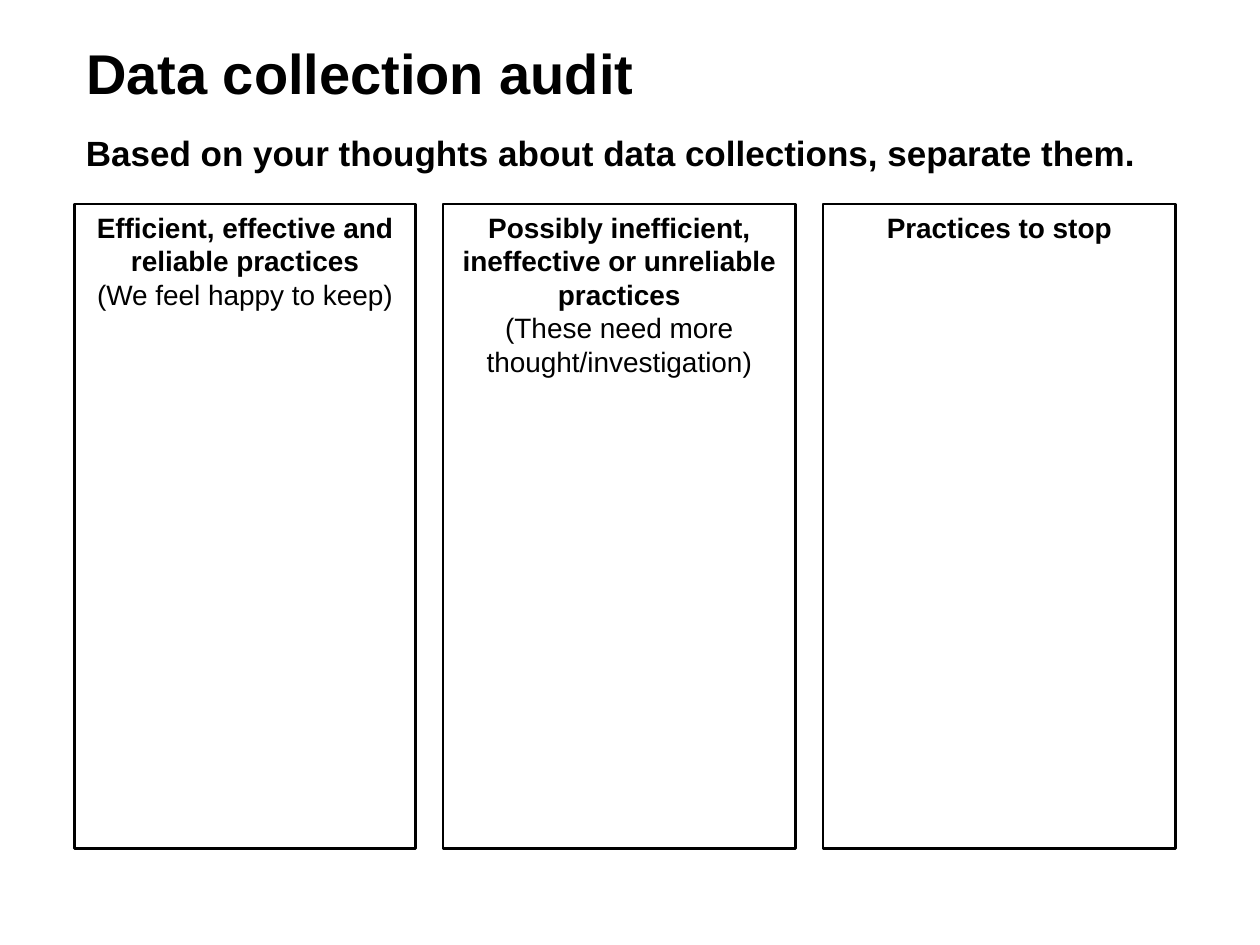
from pptx import Presentation
from pptx.dml.color import RGBColor
from pptx.enum.shapes import MSO_SHAPE
from pptx.enum.text import MSO_ANCHOR as Anchor, PP_ALIGN as Align
from pptx.util import Cm, Pt

# Content
TITLE = "Data collection audit"
INSTRUCTION = "Based on your thoughts about data collections, separate them."
COLUMNS = [  # width in cm, heading, comment
    (6.88, "Efficient, effective and reliable practices", "(We feel happy to keep)"),
    (7.11, "Possibly inefficient, ineffective or unreliable practices",
     "(These need more thought/investigation)"),
    (7.11, "Practices to stop", None),
]

# Layout in cm
LEFT, GAP = 1.5, 0.55
COLUMN_TOP, COLUMN_HEIGHT = 4.11, 13.0
BLACK = "000000"


def color(value):
    return RGBColor.from_string(value)


def write(paragraph, text, size, bold=True, align=Align.LEFT):
    paragraph.text = text
    paragraph.alignment = align
    paragraph.font.name = "Arial"
    paragraph.font.size = Pt(size)
    paragraph.font.bold = bold
    paragraph.font.color.rgb = color(BLACK)


def place(shape, left, top, width, height):
    shape.left, shape.top = Cm(left), Cm(top)
    shape.width, shape.height = Cm(width), Cm(height)


def add_column(slide, left, width, heading, comment):
    box = slide.shapes.add_shape(MSO_SHAPE.RECTANGLE, Cm(left), Cm(COLUMN_TOP),
                                 Cm(width), Cm(COLUMN_HEIGHT))
    box.shadow.inherit = False
    box.fill.background()
    box.line.color.rgb = color(BLACK)
    box.line.width = Pt(1.5)
    frame = box.text_frame
    frame.word_wrap = True
    frame.vertical_anchor = Anchor.TOP
    write(frame.paragraphs[0], heading, 16, align=Align.CENTER)
    if comment:
        write(frame.add_paragraph(), comment, 16, bold=False, align=Align.CENTER)


def main():
    presentation = Presentation()
    presentation.slide_width, presentation.slide_height = Cm(25.4), Cm(19.05)
    slide = presentation.slides.add_slide(presentation.slide_layouts[5])

    # Title
    title = slide.shapes.title
    place(title, 1.48, 0.56, 22.02, 1.8)
    title.text_frame.vertical_anchor = Anchor.MIDDLE
    write(title.text_frame.paragraphs[0], TITLE, 32)

    # Instruction
    instruction = slide.shapes.add_textbox(Cm(1.48), Cm(2.52), Cm(22.43), Cm(2.69))
    instruction.text_frame.word_wrap = True
    write(instruction.text_frame.paragraphs[0], INSTRUCTION, 20)

    # Sorting columns
    left = LEFT
    for width, heading, comment in COLUMNS:
        add_column(slide, left, width, heading, comment)
        left += width + GAP

    presentation.save("out.pptx")


if __name__ == "__main__":
    main()
